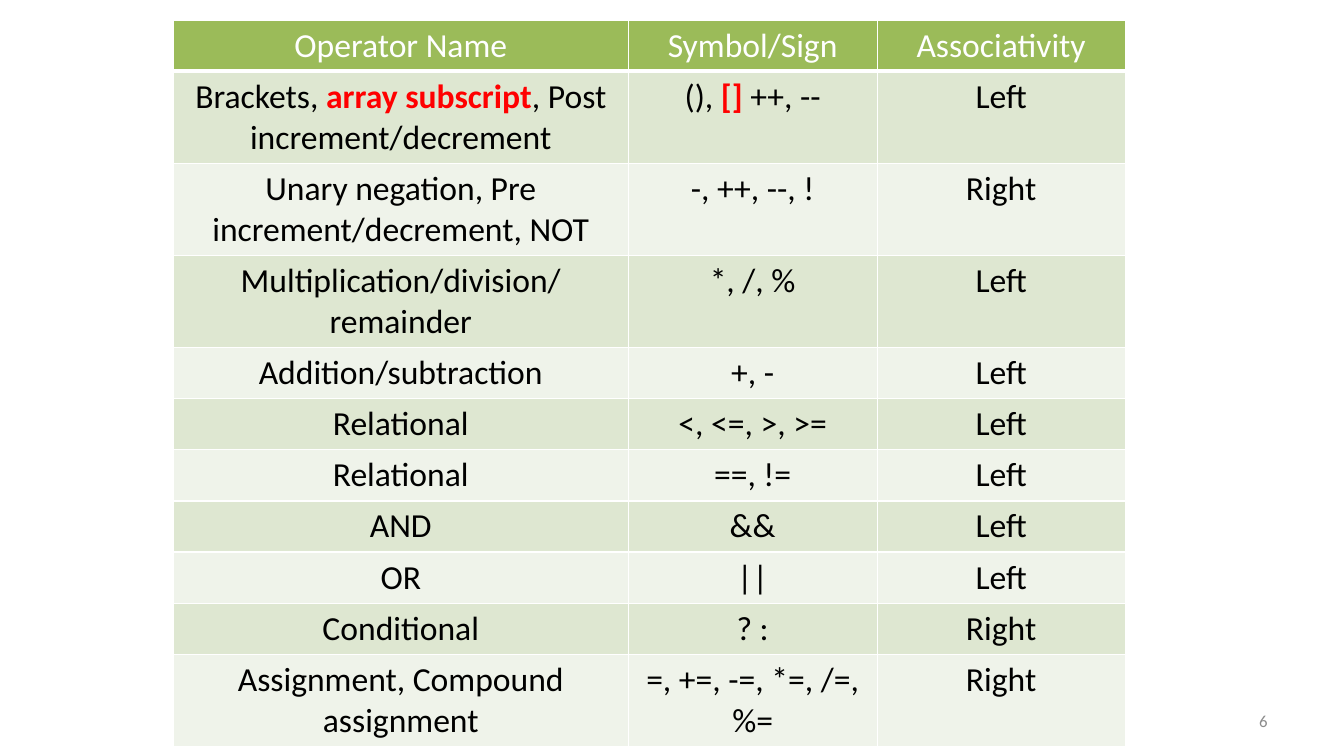
import pptx
import pptx.dml.color
import pptx.enum.text
import pptx.oxml
import pptx.oxml.ns
import pptx.util

Inches = pptx.util.Inches
ALIGN = pptx.enum.text.PP_ALIGN

COLORS = {
    "header": "9BBB59",
    "odd_band": "DEE7D1",
    "even_band": "EFF3EA",
    "white": "FFFFFF",
    "black": "000000",
    "red": "FF0000",
    "gray": "8C8C8C",
}

COLUMN_WIDTHS = [4.51, 2.47, 2.46]
ROW_HEIGHT = 0.41

OPERATORS = [
    ("Operator Name", "Symbol/Sign", "Associativity"),
    (("Brackets, ", "array subscript", ", Post increment/decrement"),
     ("(), ", "[]", " ++, --"), "Left"),
    ("Unary negation, Pre increment/decrement, NOT", "-, ++, --, !", "Right"),
    ("Multiplication/division/ remainder", "*, /, %", "Left"),
    ("Addition/subtraction", "+, -", "Left"),
    ("Relational", "<, <=, >, >=", "Left"),
    ("Relational", "==, !=", "Left"),
    ("AND", "&&", "Left"),
    ("OR", "||", "Left"),
    ("Conditional", "? :", "Right"),
    ("Assignment, Compound assignment", "=, +=, -=, *=, /=, %=", "Right"),
]


class SlideBuilder:
    font_name = "Calibri"

    def __init__(self, slide):
        self.slide = slide

    def color(self, name):
        return pptx.dml.color.RGBColor.from_string(COLORS[name])

    def add_run(self, paragraph, text, color, size, bold=False):
        run = paragraph.add_run()
        run.text = text
        formats = {"name": self.font_name, "size": pptx.util.Pt(size), "bold": bold}
        for attribute, value in formats.items():
            setattr(run.font, attribute, value)
        run.font.color.rgb = self.color(color)

    def add_borders(self, cell, bottom_width):
        properties = cell._tc.get_or_add_tcPr()
        widths = {"lnL": 1, "lnR": 1, "lnT": 1, "lnB": bottom_width}
        for tag, width in widths.items():
            properties.append(pptx.oxml.parse_xml(
                f'<a:{tag} {pptx.oxml.ns.nsdecls("a")} w="{pptx.util.Pt(width)}">'
                f'<a:solidFill><a:srgbClr val="{COLORS["white"]}"/></a:solidFill>'
                f'</a:{tag}>'))

    def fill_cell(self, cell, content, fill, color, bottom_width):
        self.add_borders(cell, bottom_width)
        cell.fill.solid()
        cell.fill.fore_color.rgb = self.color(fill)
        paragraph = cell.text_frame.paragraphs[0]
        paragraph.alignment = ALIGN.CENTER
        parts = (content,) if isinstance(content, str) else content
        for index, text in enumerate(parts):
            emphasized = index == 1
            self.add_run(paragraph, text, "red" if emphasized else color, 24, emphasized)

    def add_table(self, left, top, rows):
        table = self.slide.shapes.add_table(
            len(rows), len(COLUMN_WIDTHS), Inches(left), Inches(top),
            Inches(sum(COLUMN_WIDTHS)), Inches(ROW_HEIGHT * len(rows))).table
        for column, width in zip(table.columns, COLUMN_WIDTHS):
            column.width = Inches(width)
        for row_index, contents in enumerate(rows):
            table.rows[row_index].height = Inches(ROW_HEIGHT)
            if row_index == 0:
                style = ("header", "white", 3)
            else:
                style = ("odd_band" if row_index % 2 else "even_band", "black", 1)
            for column_index, content in enumerate(contents):
                self.fill_cell(table.cell(row_index, column_index), content, *style)

    def add_text(self, left, top, width, height, text, color, size):
        shape = self.slide.shapes.add_textbox(
            Inches(left), Inches(top), Inches(width), Inches(height))
        formats = {
            "word_wrap": True,
            "vertical_anchor": pptx.enum.text.MSO_ANCHOR.MIDDLE,
        }
        for attribute, value in formats.items():
            setattr(shape.text_frame, attribute, value)
        paragraph = shape.text_frame.paragraphs[0]
        paragraph.alignment = ALIGN.RIGHT
        self.add_run(paragraph, text, color, size)


def main():
    presentation = pptx.Presentation()
    presentation.slide_width = Inches(13.33)
    presentation.slide_height = Inches(7.5)
    builder = SlideBuilder(presentation.slides.add_slide(presentation.slide_layouts[6]))
    builder.add_table(1.72, 0.2, OPERATORS)
    builder.add_text(9.56, 6.95, 3.11, 0.4, "6", "gray", 12)
    presentation.save("out.pptx")


if __name__ == "__main__":
    main()
